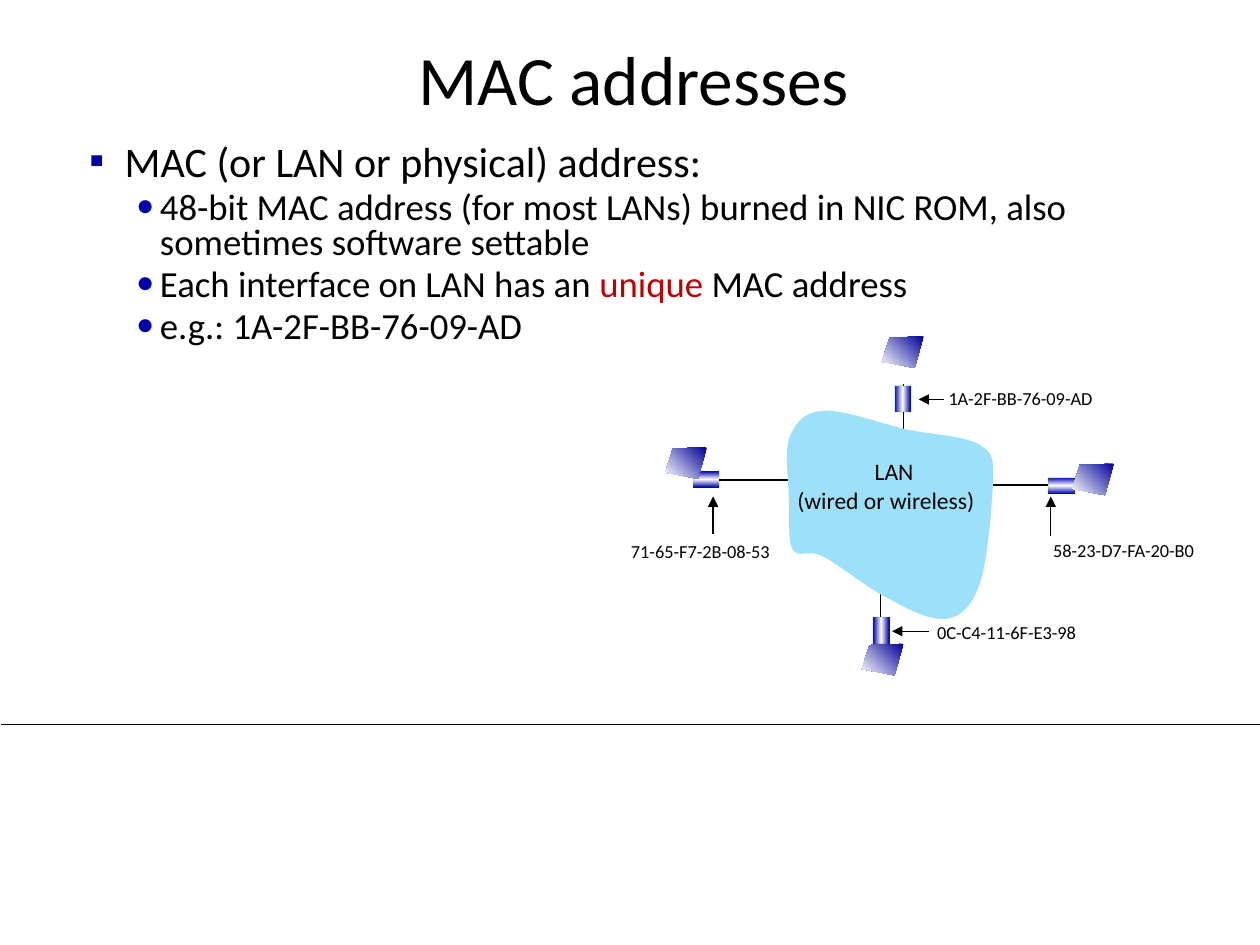
import pptx
import pptx.util
import pptx.dml.color
import pptx.enum.shapes
import pptx.enum.text
import pptx.oxml.ns
from lxml import etree

RGB = pptx.dml.color.RGBColor
BLACK = RGB(0, 0, 0)
WHITE = RGB(255, 255, 255)
RED = RGB(0xC0, 0, 0)
GREEN = RGB(0, 0x80, 0)
NAVY = RGB(0, 0, 0xA8)
DEEP = RGB(0, 0, 0x99)
MARK = RGB(0, 0, 0xA3)
SKY = RGB(0x9C, 0xE0, 0xFA)

FONT = "Calibri"
COLS, ROWS = 100, 75
CARD_W, CARD_H = 1.3, 2.1
CARD_FILL = [(0, NAVY), (50, WHITE), (99, NAVY)]
SCREEN = [(3.3, 0), (0.6, 0.1), (0, 2), (2.6, 2.5)]
SCREEN_FILL = [(0, DEEP), (100, WHITE)]
CENTER = pptx.enum.text.PP_ALIGN.CENTER
MIDDLE = pptx.enum.text.MSO_ANCHOR.MIDDLE

CLOUD = [
    (65.4, 32.6), (63.8, 32.7), (63.2, 33.5), (62.7, 34.6),
    (62.2, 35.8), (62.6, 38), (62.6, 39.5),
    (62.7, 41), (62.5, 42.9), (62.9, 43.6),
    (63.4, 44.4), (64.1, 43.5), (65.4, 44.2),
    (66.7, 44.9), (69, 46.8), (70.7, 47.6),
    (72.3, 48.5), (74, 49.3), (75.2, 49.1),
    (76.4, 48.9), (77.2, 48), (77.8, 46.2),
    (78.4, 44.4), (78.7, 40.3), (78.8, 38.5),
    (78.8, 36.7), (79, 36.1), (77.9, 35.4),
    (76.8, 34.6), (74, 34.5), (72, 34.1),
    (69.9, 33.6), (66.9, 32.5), (65.4, 32.6),
]
BODY = [
    (0, [("MAC (or LAN or physical) address:", BLACK)]),
    (1, [("48-bit MAC address (for most LANs) burned in NIC ROM, "
          "also sometimes software settable", BLACK)]),
    (1, [("Each interface on LAN has an ", BLACK), ("unique", RED),
         (" MAC address", BLACK)]),
    (1, [("e.g.: 1A-2F-BB-76-09-AD", BLACK)]),
]
LEVELS = [
    dict(size=24, left=0.29, hang=-0.28, mark="▪", color=MARK),
    dict(size=21, left=0.57, hang=-0.19, mark="•", color=NAVY),
]
WIRES = [
    (57.1, 38.1, 64.5, 38.1), (71.7, 30.5, 71.7, 35.9),
    (69.9, 50.1, 69.9, 46.5), (85.4, 38.5, 78.8, 38.5),
]
ARROWS = [
    (83.4, 42.5, 83.4, 39.4), (73.7, 50.1, 70.8, 50.1),
    (56.6, 42.4, 56.6, 39.4), (74.9, 31.7, 72.9, 31.7),
]
LABELS = [
    ("1A-2F-BB-76-09-AD", 74.3, 30.2), ("58-23-D7-FA-20-B0", 82.6, 42.3),
    ("0C-C4-11-6F-E3-98", 73.4, 48.8), ("71-65-F7-2B-08-53", 49.1, 42.4),
]
CARDS = [(71, 30.6, 0), (55.4, 37, 90), (69.3, 49, 0), (83.6, 37.5, 90)]
SCREENS = [(70, 26.7), (52.8, 35.5), (85.1, 36.8), (68.4, 51.1)]


def add(node, tag, **attrs):
    return etree.SubElement(node, pptx.oxml.ns.qn(tag), attrs)


class Deck:
    def __init__(self):
        self.show = pptx.Presentation()
        self.show.slide_width = pptx.util.Inches(10)
        self.show.slide_height = pptx.util.Inches(7.5)
        self.slide = self.show.slides.add_slide(self.show.slide_layouts[5])
        self.shapes = self.slide.shapes

    def x(self, cols):
        return round(self.show.slide_width * cols / COLS)

    def y(self, rows):
        return round(self.show.slide_height * rows / ROWS)

    def box(self, left, top, wide, high):
        return self.x(left), self.y(top), self.x(wide), self.y(high)

    def style(self, run, size, color=BLACK):
        run.font.name = FONT
        run.font.size = pptx.util.Pt(size)
        run.font.color.rgb = color

    def title(self, text, *place):
        title = self.shapes.title
        title.left, title.top, title.width, title.height = self.box(*place)
        frame = title.text_frame
        frame.text = text
        frame.vertical_anchor = MIDDLE
        para = frame.paragraphs[0]
        para.alignment = CENTER
        para.line_spacing = 0.9
        self.style(para.runs[0], 39.6)

    def text(self, lines, size, *place, align=None):
        frame = self.shapes.add_textbox(*self.box(*place)).text_frame
        frame.word_wrap = True
        frame.text = "\n".join(lines)
        for para in frame.paragraphs:
            para.alignment = align
            self.style(para.runs[0], size)
        return frame

    def bullets(self, items, *place):
        frame = self.shapes.add_textbox(*self.box(*place)).text_frame
        frame.word_wrap = True
        frame.margin_left = frame.margin_right = pptx.util.Inches(0.07)
        frame.margin_top = frame.margin_bottom = pptx.util.Inches(0.04)
        for i, (level, parts) in enumerate(items):
            para = frame.add_paragraph() if i else frame.paragraphs[0]
            look = LEVELS[level]
            para.level = level
            para.line_spacing = 0.8
            if i:
                para.space_before = pptx.util.Pt(3.8)
            props = para._p.get_or_add_pPr()
            props.set("marL", str(pptx.util.Inches(look["left"])))
            props.set("indent", str(pptx.util.Inches(look["hang"])))
            add(add(props, "a:buClr"), "a:srgbClr", val=str(look["color"]))
            add(props, "a:buFont", typeface=FONT)
            add(props, "a:buChar", char=look["mark"])
            for words, color in parts:
                run = para.add_run()
                run.text = words
                self.style(run, look["size"], color)

    def line(self, x1, y1, x2, y2, width=0.75, arrow=False):
        line = self.shapes.add_connector(
            pptx.enum.shapes.MSO_CONNECTOR.STRAIGHT,
            self.x(x1), self.y(y1), self.x(x2), self.y(y2))
        line.line.color.rgb = BLACK
        line.line.width = pptx.util.Pt(width)
        if arrow:
            add(line.line._get_or_add_ln(), "a:tailEnd", type="triangle")
        add(line._element.spPr, "a:effectLst")

    def blend(self, shape, stops, angle):
        shape.fill.gradient()
        shape.fill.gradient_angle = angle
        group = shape._element.spPr.find(".//" + pptx.oxml.ns.qn("a:gsLst"))
        for old in list(group):
            group.remove(old)
        for share, color in stops:
            stop = add(group, "a:gs", pos=str(share * 1000))
            add(stop, "a:srgbClr", val=str(color))

    def outline(self, points):
        spots = [(self.x(a), self.y(b)) for a, b in points]
        pen = self.shapes.build_freeform(*spots[0])
        pen.add_line_segments(spots[1:], close=True)
        shape = pen.convert_to_shape()
        shape.shadow.inherit = False
        shape.line.fill.background()
        return shape

    def cloud(self, points):
        shape = self.outline(points)
        shape.fill.solid()
        shape.fill.fore_color.rgb = SKY
        lines = list(shape._element.iter(pptx.oxml.ns.qn("a:lnTo")))
        for i in range(0, len(points) - 1, 3):
            curve = etree.Element(pptx.oxml.ns.qn("a:cubicBezTo"))
            lines[i].addprevious(curve)
            for step in lines[i:i + 3]:
                curve.append(step[0])
                step.getparent().remove(step)

    def screen(self, left, top):
        shape = self.outline([(left + a, top + b) for a, b in SCREEN])
        self.blend(shape, SCREEN_FILL, 225)

    def card(self, left, top, turn):
        shape = self.shapes.add_shape(
            pptx.enum.shapes.MSO_SHAPE.RECTANGLE,
            *self.box(left, top, CARD_W, CARD_H))
        shape.rotation = turn
        shape.shadow.inherit = False
        self.blend(shape, CARD_FILL, 0)
        shape.line.color.rgb = GREEN
        shape.line.width = pptx.util.Pt(0.75)
        tint = shape.line._get_or_add_ln().find(".//" + pptx.oxml.ns.qn("a:srgbClr"))
        add(tint, "a:alpha", val="15000")


def main():
    deck = Deck()
    deck.line(0.1, 57.5, COLS, 57.5, width=0.5)
    deck.title("MAC addresses", 7.2, 2.9, 86.2, 7.3)
    deck.bullets(BODY, 6.3, 11.1, 89.4, 18.6)
    for wire in WIRES:
        deck.line(*wire)
    deck.cloud(CLOUD)
    for arrow in ARROWS:
        deck.line(*arrow, arrow=True)
    for words, left, top in LABELS:
        deck.text([words], 10.5, left, top, 15, 2.8)
    name = deck.text(["LAN", "(wired or wireless)"], 13.5,
                     61.4, 35.8, 17.8, 5.6, align=CENTER)
    name.paragraphs[0]._p.get_or_add_pPr().set("marL", str(deck.x(1.3)))
    for card in CARDS:
        deck.card(*card)
    for screen in SCREENS:
        deck.screen(*screen)
    deck.show.save("out.pptx")


if __name__ == "__main__":
    main()
